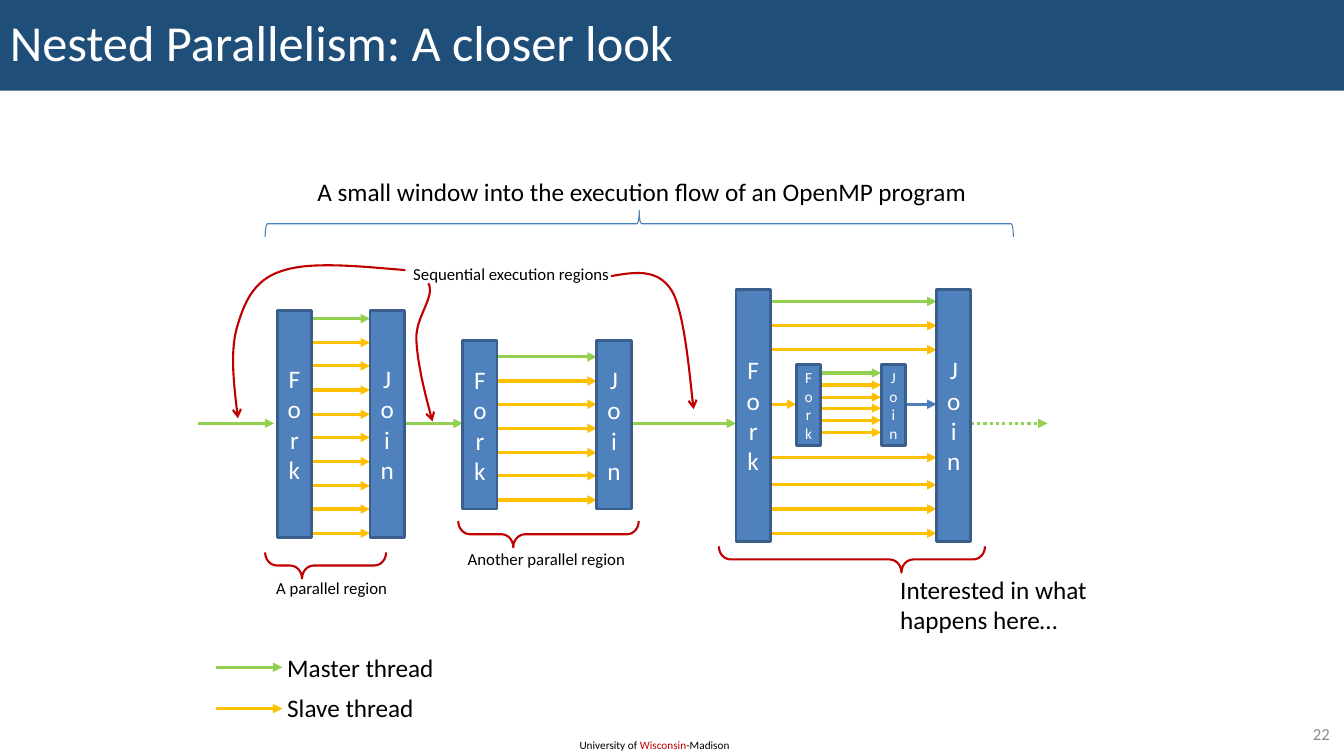
from lxml import etree
from pptx import Presentation
from pptx.dml.color import RGBColor
from pptx.enum.dml import MSO_LINE
from pptx.enum.shapes import MSO_CONNECTOR, MSO_SHAPE
from pptx.enum.text import MSO_ANCHOR as Anchor, PP_ALIGN as Align
from pptx.oxml.ns import qn
from pptx.util import Pt

PX = 9144  # 100 px to the inch


class Theme:
    font = "Calibri"
    banner, box, edge = "1F4E79", "4F81BD", "3A5F8C"
    master, slave, blue, red = "92D050", "FFC000", "4B7EBC", "C00000"
    black, white, grey = "000000", "FFFFFF", "8C8C8C"
    title, body, label, inner, footer = 36, 18, 12, 11, 8


def write(frame, text, size, colour, align=Align.LEFT, anchor=Anchor.TOP):
    frame.word_wrap = True
    frame.vertical_anchor = anchor
    paragraph = frame.paragraphs[0]
    paragraph.text = text
    paragraph.alignment = align
    paragraph.font.name = Theme.font
    paragraph.font.size = Pt(size)
    paragraph.font.color.rgb = RGBColor.from_string(colour)
    return paragraph


def draw_line(line, colour, weight, arrowhead=None, dash=None):
    line.width = Pt(weight)
    line.color.rgb = RGBColor.from_string(colour)
    if dash:
        line.dash_style = dash
    if arrowhead:
        etree.SubElement(line._get_or_add_ln(), qn("a:tailEnd"), type=arrowhead)


deck = Presentation()
deck.slide_width, deck.slide_height = 1333 * PX, 750 * PX
slide = deck.slides.add_slide(deck.slide_layouts[6])
shapes = slide.shapes

# Title banner
banner = shapes.add_shape(MSO_SHAPE.RECTANGLE, 0, 0, 1333 * PX, 90 * PX)
banner.shadow.inherit = False
banner.fill.solid()
banner.fill.fore_color.rgb = RGBColor.from_string(Theme.banner)
banner.line.fill.background()
heading = write(banner.text_frame, "Nested Parallelism: A closer look",
                Theme.title, Theme.white, anchor=Anchor.MIDDLE)
heading.line_spacing = 0.9

# Fork and join pairs: fork left, join left, top, width, height, text size, border
regions = [
    (459, 592, 338, 34, 167, Theme.body, 2),
    (275, 367, 308, 34, 225, Theme.body, 2),
    (730, 929, 287, 34, 250, Theme.body, 2),
    (790, 874, 362, 24, 80, Theme.inner, 2.25),
]

# Threads within a region: left, right, first y, last y, count, colour of the first
thread_groups = [
    (493, 592, 354, 496, 7, Theme.master),
    (309, 367, 316, 529, 10, Theme.master),
    (814, 874, 370, 429, 6, Theme.master),
    (764, 929, 299, 347, 3, Theme.master),
    (764, 929, 481, 529, 3, Theme.slave),
]

# Arrows: left, right, y, colour, dash
arrows = [
    (963, 1039, 420, Theme.master, MSO_LINE.ROUND_DOT),
    (400, 459, 420, Theme.master, None),
    (626, 730, 420, Theme.master, None),
    (196, 272, 420, Theme.master, None),
    (764, 790, 401, Theme.slave, None),
    (900, 929, 401, Theme.blue, None),
    (764, 929, 454, Theme.slave, None),
    (214, 280, 662, Theme.master, None),
    (214, 280, 703, Theme.slave, None),
]
for left, right, first, last, count, lead in thread_groups:
    for row in range(count):
        y = round(first + (last - first) * row / (count - 1))
        arrows.append((left, right, y, Theme.slave if row else lead, None))

for left, right, y, colour, dash in arrows:
    arrow = shapes.add_connector(MSO_CONNECTOR.STRAIGHT,
                                 left * PX, y * PX, right * PX, y * PX)
    draw_line(arrow.line, colour, 2.25, "triangle", dash)
    etree.SubElement(arrow._element.spPr, qn("a:effectLst"))

for fork_left, join_left, top, width, height, size, border in regions:
    for left, word in ((fork_left, "Fork"), (join_left, "Join")):
        bar = shapes.add_shape(MSO_SHAPE.RECTANGLE,
                               left * PX, top * PX, width * PX, height * PX)
        bar.shadow.inherit = False
        bar.fill.solid()
        bar.fill.fore_color.rgb = RGBColor.from_string(Theme.box)
        draw_line(bar.line, Theme.edge, border)
        frame = bar.text_frame
        frame.margin_left = frame.margin_right = 0
        write(frame, "\v".join(word), size, Theme.white, Align.CENTER, Anchor.MIDDLE)

# Braces: centre x, centre y, span, rotation, curl, tip, colour, weight
braces = [
    (634, 222, 742, 90, 0.083, 0.5, Theme.blue, 0.75),
    (845, 555, 264, 270, 0.449, 0.686, Theme.red, 1.5),
    (323, 561, 120, 270, 0.449, 0.305, Theme.red, 1.5),
    (544, 530, 179, 270, 0.449, 0.305, Theme.red, 1.5),
]
depth = 26
for x, y, span, rotation, curl, tip, colour, weight in braces:
    brace = shapes.add_shape(MSO_SHAPE.LEFT_BRACE, (x - depth // 2) * PX,
                             round((y - span / 2) * PX), depth * PX, span * PX)
    brace.rotation = rotation
    brace.adjustments[0], brace.adjustments[1] = curl, tip
    brace.shadow.inherit = False
    brace.fill.background()
    draw_line(brace.line, colour, weight)

# Pointers to the sequential regions: Bezier points, each third one on the curve
pointers = [
    [(425, 281), (432, 295), (412, 314), (413, 337), (414, 360), (421, 389), (429, 418)],
    [(402, 268), (354, 264), (307, 259), (279, 269), (251, 278), (242, 301),
     (235, 325), (228, 350), (232, 382), (236, 415)],
    [(606, 274), (629, 270), (652, 266), (666, 288), (680, 310), (685, 386), (688, 406)],
]
steps = 16
for points in pointers:
    start_x, start_y = points[0]
    builder = shapes.build_freeform(start_x * PX, start_y * PX)
    trace = []
    for knot in range(0, len(points) - 1, 3):
        for step in range(1, steps + 1):
            t = step / steps
            weights = ((1 - t) ** 3, 3 * t * (1 - t) ** 2, 3 * t * t * (1 - t), t ** 3)
            trace.append(tuple(
                round(PX * sum(w * p[axis] for w, p in zip(weights, points[knot:knot + 4])))
                for axis in (0, 1)))
    builder.add_line_segments(trace, close=False)
    pointer = builder.convert_to_shape()
    pointer.shadow.inherit = False
    pointer.fill.background()
    draw_line(pointer.line, Theme.red, 1.5, "arrow")

# Captions: left, top, width, height, text, size
captions = [
    (305, 170, 690, 40, "A small window into the execution flow of an OpenMP program", Theme.body),
    (400, 257, 225, 30, "Sequential execution regions", Theme.label),
    (264, 568, 140, 30, "A parallel region", Theme.label),
    (454, 539, 185, 30, "Another parallel region", Theme.label),
    (883, 565, 208, 71, "Interested in what happens here…", Theme.body),
    (275, 642, 175, 40, "Master thread", Theme.body),
    (275, 682, 175, 40, "Slave thread", Theme.body),
]
for left, top, width, height, text, size in captions:
    caption = shapes.add_textbox(left * PX, top * PX, width * PX, height * PX)
    write(caption.text_frame, text, size, Theme.black)

footer = shapes.add_textbox(565 * PX, 728 * PX, 180 * PX, 24 * PX)
university = write(footer.text_frame, "University of ", Theme.footer, Theme.black)
state = university.add_run()
state.text = "Wisconsin"
state.font.color.rgb = RGBColor.from_string(Theme.red)
university.add_run().text = "-Madison"

page_number = shapes.add_textbox(1253 * PX, 713 * PX, 76 * PX, 29 * PX)
write(page_number.text_frame, "22", Theme.label, Theme.grey, Align.RIGHT, Anchor.MIDDLE)

deck.save("out.pptx")
